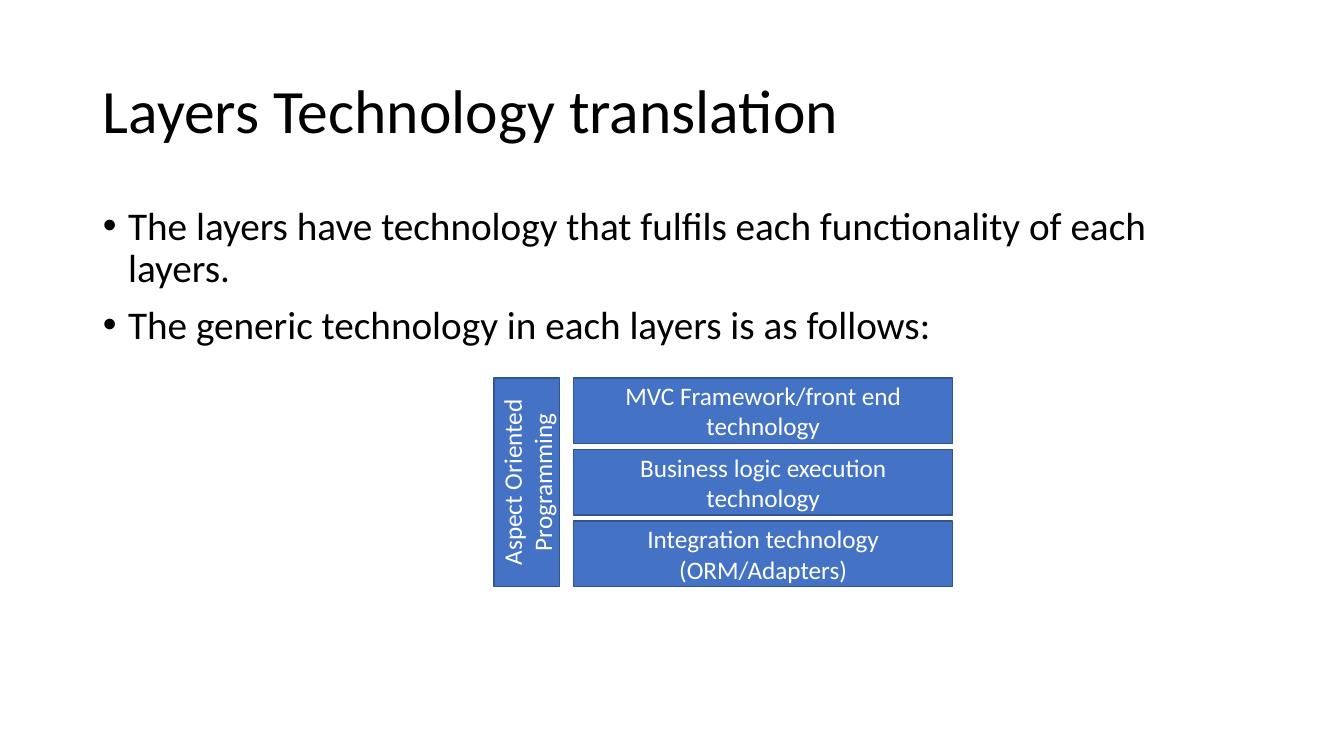
from lxml.etree import SubElement
from pptx import Presentation
from pptx.dml.color import RGBColor
from pptx.enum.shapes import MSO_SHAPE
from pptx.enum.text import MSO_ANCHOR, MSO_AUTO_SIZE, PP_ALIGN
from pptx.oxml.ns import qn
from pptx.util import Inches, Pt


class LayerSlide:
    """Holds the style and the current slide."""

    font = "Calibri"
    colors = {"text": "000000", "box": "4472C4", "outline": "325491", "label": "FFFFFF"}

    def __init__(self, presentation):
        """Add a title and body slide."""
        self.slide = presentation.slides.add_slide(presentation.slide_layouts[1])

    def color(self, name):
        """Return a named colour."""
        return RGBColor.from_string(self.colors[name])

    def place(self, shape, left, top, width, height):
        """Move and size a shape in inches."""
        shape.left, shape.top = Inches(left), Inches(top)
        shape.width, shape.height = Inches(width), Inches(height)

    def add_text(self, paragraph, text, size, color, alignment):
        """Add one formatted run to a paragraph."""
        paragraph.alignment = alignment
        run = paragraph.add_run()
        run.text = text
        run.font.name = self.font
        run.font.size = Pt(size)
        run.font.color.rgb = self.color(color)

    def title(self, text):
        """Fill the title placeholder."""
        title = self.slide.shapes.title
        self.place(title, 0.92, 0.4, 11.5, 1.45)
        frame = title.text_frame
        frame.auto_size = MSO_AUTO_SIZE.NONE
        frame.vertical_anchor = MSO_ANCHOR.MIDDLE
        paragraph = frame.paragraphs[0]
        paragraph.line_spacing = 0.9
        self.add_text(paragraph, text, 44, "text", PP_ALIGN.LEFT)

    def bullets(self, items):
        """Fill the body placeholder with a bulleted list."""
        body = self.slide.placeholders[1]
        self.place(body, 0.92, 2, 11.5, 4.76)
        frame = body.text_frame
        frame.auto_size = MSO_AUTO_SIZE.NONE
        for index, item in enumerate(items):
            paragraph = frame.add_paragraph() if index else frame.paragraphs[0]
            paragraph.line_spacing = 0.9
            paragraph.space_before = Pt(10)
            self.add_text(paragraph, item, 28, "text", PP_ALIGN.LEFT)
            properties = paragraph._p.get_or_add_pPr()
            properties.set("marL", str(Inches(0.25)))
            properties.set("indent", str(Inches(-0.25)))
            SubElement(properties, qn("a:buFont"), typeface="Arial")
            SubElement(properties, qn("a:buChar"), char="•")

    def box(self, text, left, top, width, height, rotation=0):
        """Add a labelled rectangle."""
        box = self.slide.shapes.add_shape(
            MSO_SHAPE.RECTANGLE, Inches(left), Inches(top), Inches(width), Inches(height)
        )
        box.rotation = rotation
        box.shadow.inherit = False
        box.fill.solid()
        box.fill.fore_color.rgb = self.color("box")
        box.line.color.rgb = self.color("outline")
        box.line.width = Pt(1)
        frame = box.text_frame
        frame.word_wrap = True
        frame.vertical_anchor = MSO_ANCHOR.MIDDLE
        self.add_text(frame.paragraphs[0], text, 18, "label", PP_ALIGN.CENTER)


def main():
    """Build and save the slide."""
    presentation = Presentation()
    presentation.slide_width = Inches(13.33)
    presentation.slide_height = Inches(7.5)
    slide = LayerSlide(presentation)
    slide.title("Layers Technology translation")
    slide.bullets([
        "The layers have technology that fulfils each functionality of each layers.",
        "The generic technology in each layers is as follows:",
    ])
    layers = [
        "MVC Framework/front end technology",
        "Business logic execution technology",
        "Integration technology (ORM/Adapters)",
    ]
    top, pitch, height = 3.75, 0.71, 0.65
    for index, layer in enumerate(layers):
        slide.box(layer, 5.69, top + index * pitch, 3.76, height)
    slide.box("Aspect Oriented Programming", 4.19, top + pitch, 2.07, height, rotation=270)
    presentation.save("out.pptx")


if __name__ == "__main__":
    main()
